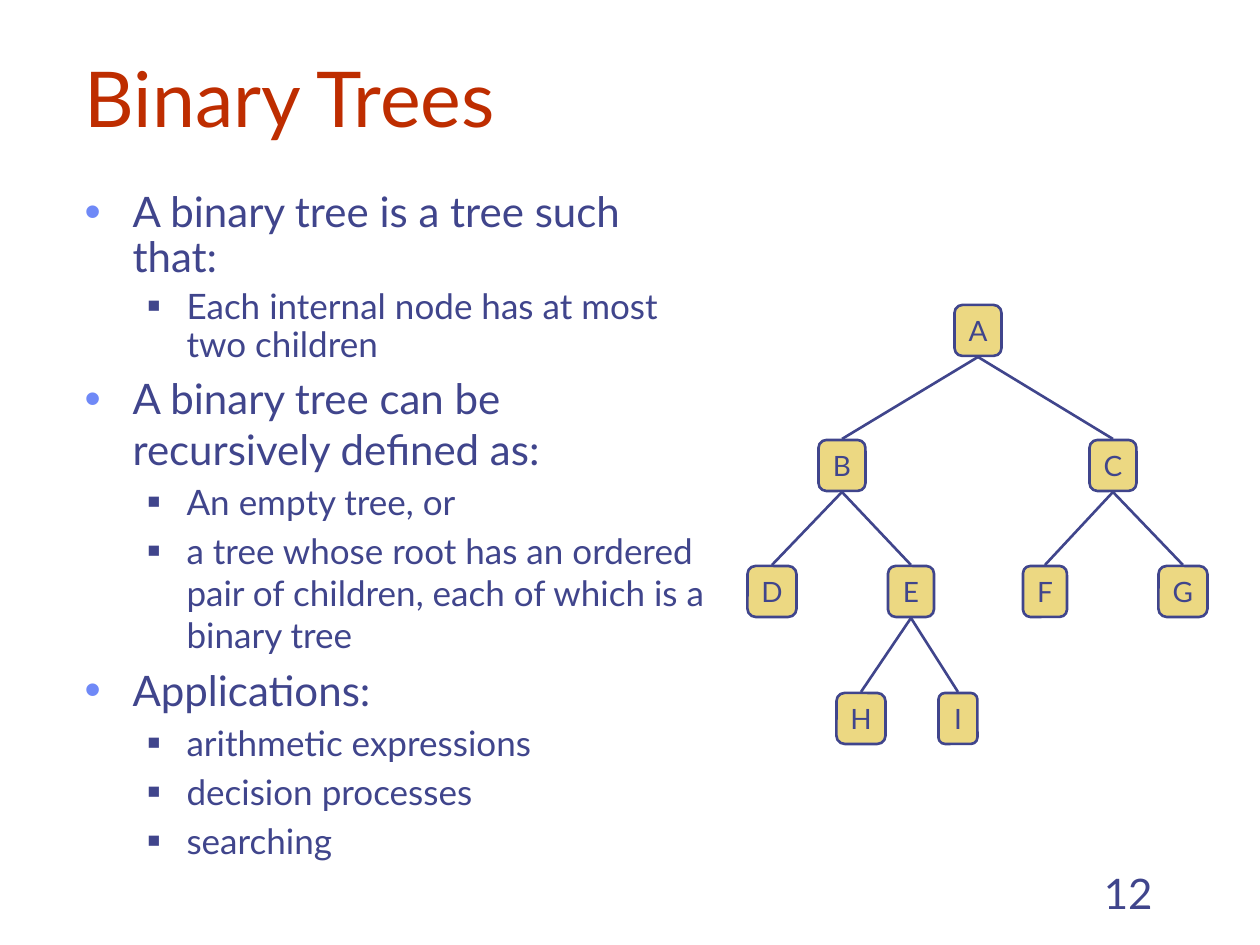
from lxml.etree import SubElement
from pptx import Presentation
from pptx.dml.color import RGBColor
from pptx.enum.shapes import MSO_CONNECTOR as Connector, MSO_SHAPE as Shape
from pptx.enum.text import MSO_ANCHOR as Anchor, MSO_AUTO_SIZE as AutoSize, PP_ALIGN as Align
from pptx.oxml.ns import qn
from pptx.util import Inches, Pt

PX_PER_INCH = 126
FONT = "Lato"
INK, RED, BLUE, SAND = "40458C", "BE2D00", "6F89F7", "ECD882"

BULLETS = [
    (0, 0.9, "A binary tree is a tree such that:"),
    (1, 0.9, "Each internal node has at most two children"),
    (0, 1.0, "A binary tree can be recursively defined as:"),
    (1, 1.0, "An empty tree, or"),
    (1, 1.0, "a tree whose root has an ordered pair of children, each of which is a binary tree"),
    (0, 1.0, "Applications:"),
    (1, 1.0, "arithmetic expressions"),
    (1, 1.0, "decision processes"),
    (1, 1.0, "searching"),
]
LEVELS = [
    dict(size=24, left=48, hang=48, char="•", color=BLUE, percent=110),
    dict(size=20, left=102, hang=39, char="■", color=INK, percent=60),
]

NODE_HEIGHT = 51
ROW_TOPS = [0, 135, 261, 388]
NODES = {
    "A": (0, 231, 47),
    "B": (1, 95, 47), "C": (1, 366, 47),
    "D": (2, 25, 49), "E": (2, 164, 46), "F": (2, 298, 44), "G": (2, 436, 49),
    "H": (3, 114, 49), "I": (3, 211, 39),
}
EDGES = ["AB", "AC", "BD", "BE", "CF", "CG", "EH", "EI"]


def px(length):
    return round(Inches(length) / PX_PER_INCH)


def rgb(color):
    return RGBColor.from_string(color)


def place(shape, box):
    shape.left, shape.top, shape.width, shape.height = map(px, box)


def set_frame(frame, anchor, wrap=True):
    frame.auto_size = AutoSize.NONE
    frame.word_wrap = wrap
    frame.vertical_anchor = anchor


def add_span(para, text, size, color=INK):
    span = para.add_run()
    span.text = text
    span.font.name = FONT
    span.font.size = Pt(size)
    span.font.color.rgb = rgb(color)


def set_bullet(para, left, hang, char, color, percent):
    props = para._p.get_or_add_pPr()
    props.set("marL", str(px(left)))
    props.set("indent", str(px(-hang)))
    SubElement(SubElement(props, qn("a:buClr")), qn("a:srgbClr"), val=color)
    SubElement(props, qn("a:buSzPct"), val=str(percent * 1000))
    SubElement(props, qn("a:buFont"), typeface="Arial")
    SubElement(props, qn("a:buChar"), char=char)


def add_title(page, box):
    title = page.shapes.title
    place(title, box)
    set_frame(title.text_frame, Anchor.BOTTOM)
    para = title.text_frame.paragraphs[0]
    para.alignment = Align.LEFT
    add_span(para, "Binary Trees", 44, RED)


def add_bullets(page, box):
    body = page.placeholders[1]
    place(body, box)
    frame = body.text_frame
    set_frame(frame, Anchor.TOP)
    for index, (level, spacing, text) in enumerate(BULLETS):
        para = frame.add_paragraph() if index else frame.paragraphs[0]
        style = dict(LEVELS[level])
        size = style.pop("size")
        para.level = level
        para.line_spacing = spacing
        para.space_before = Pt(size * 0.2)
        set_bullet(para, **style)
        add_span(para, text, size)


def add_page_number(page, box):
    frame = page.shapes.add_textbox(*map(px, box)).text_frame
    set_frame(frame, Anchor.BOTTOM)
    para = frame.paragraphs[0]
    para.alignment = Align.RIGHT
    add_span(para, "12", 24)


def set_line(shape):
    shape.line.color.rgb = rgb(INK)
    shape.line.width = Pt(1.5)


def add_node(page, name, box):
    node = page.shapes.add_shape(Shape.ROUNDED_RECTANGLE, *map(px, box))
    node.shadow.inherit = False
    node.adjustments[0] = 0.167
    node.fill.solid()
    node.fill.fore_color.rgb = rgb(SAND)
    set_line(node)
    set_frame(node.text_frame, Anchor.MIDDLE, wrap=False)
    para = node.text_frame.paragraphs[0]
    para.alignment = Align.CENTER
    add_span(para, name, 16)


def add_edge(page, start, end):
    edge = page.shapes.add_connector(Connector.STRAIGHT, *map(px, start + end))
    set_line(edge)
    SubElement(edge._element.spPr, qn("a:effectLst"))


def add_tree(page, left, top):
    for name, (row, center, width) in NODES.items():
        box = (left + center - width / 2, top + ROW_TOPS[row], width, NODE_HEIGHT)
        add_node(page, name, box)
    for parent, child in EDGES:
        parent_row, parent_center, _ = NODES[parent]
        child_row, child_center, _ = NODES[child]
        start = (left + parent_center, top + ROW_TOPS[parent_row] + NODE_HEIGHT + 1)
        end = (left + child_center, top + ROW_TOPS[child_row] - 1)
        add_edge(page, start, end)


def main():
    deck = Presentation()
    deck.slide_width, deck.slide_height = px(1260), px(945)
    page = deck.slides.add_slide(deck.slide_layouts[1])
    add_title(page, (72, 42, 1138, 107))
    add_bullets(page, (72, 185, 648, 649))
    add_page_number(page, (903, 861, 262, 63))
    add_tree(page, 747, 305)
    deck.save("out.pptx")


if __name__ == "__main__":
    main()
